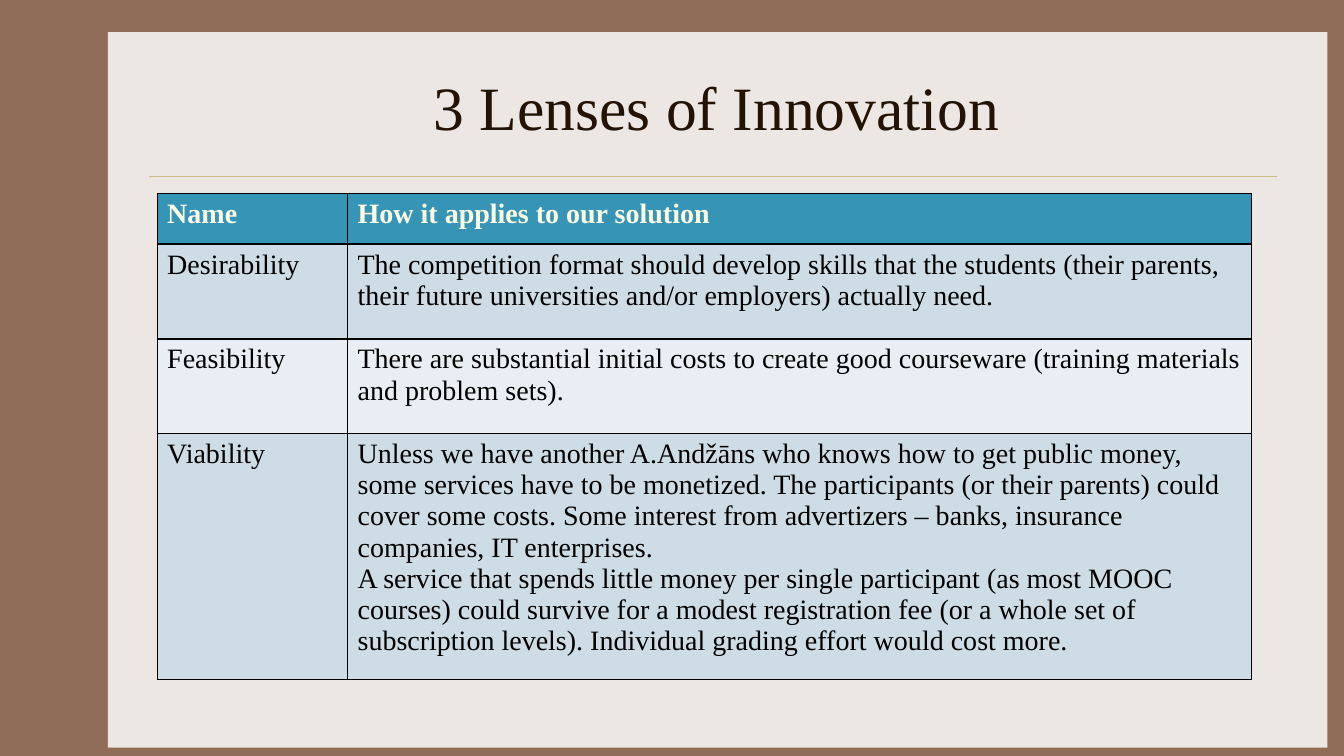
from lxml.etree import SubElement
from pptx import Presentation
from pptx.dml.color import RGBColor
from pptx.enum.shapes import MSO_CONNECTOR, MSO_SHAPE
from pptx.enum.text import MSO_ANCHOR, PP_ALIGN
from pptx.oxml.ns import qn
from pptx.util import Cm, Pt

COLORS = {
    "backdrop": "906D58", "panel": "EDE7E3", "rule": "CBBD83", "title": "221304",
    "header": "3694B6", "header_text": "FEFDE3", "odd": "CEDCE5", "even": "E8EEF3",
    "text": "000000", "border": "000000",
}
FORMATS = {
    "title": {"name": "Times New Roman", "size": Pt(44), "bold": False},
    "header": {"name": "Times New Roman", "size": Pt(20), "bold": True},
    "body": {"name": "Times New Roman", "size": Pt(20), "bold": False},
}
LENSES = [
    ("Name", "How it applies to our solution"),
    ("Desirability", "The competition format should develop skills that the students "
     "(their parents, their future universities and/or employers) actually need."),
    ("Feasibility", "There are substantial initial costs to create good courseware "
     "(training materials and problem sets)."),
    ("Viability", "Unless we have another A.Andžāns who knows how to get public money, "
     "some services have to be monetized. The participants (or their parents) could cover "
     "some costs. Some interest from advertizers – banks, insurance companies, IT enterprises.\n"
     "A service that spends little money per single participant (as most MOOC courses) could "
     "survive for a modest registration fee (or a whole set of subscription levels). "
     "Individual grading effort would cost more."),
]
COLUMN_SHARES = [0.174, 0.826]
ROW_HEIGHTS = [1.27, 2.39, 2.39, 5.74]


def color(name):
    """Return the named palette colour."""
    return RGBColor.from_string(COLORS[name])


def paint(fill, name):
    """Fill with one palette colour."""
    fill.solid()
    fill.fore_color.rgb = color(name)


def write(frame, text, style, ink, align=PP_ALIGN.LEFT):
    """Write text into a frame and format every span."""
    frame.text = text
    for para in frame.paragraphs:
        para.alignment = align
        for span in para.runs:
            for key, value in FORMATS[style].items():
                setattr(span.font, key, value)
            span.font.color.rgb = color(ink)


def border_cell(cell):
    """Draw a thin line on all four sides of a cell."""
    properties = cell._tc.get_or_add_tcPr()
    for side in ("a:lnL", "a:lnR", "a:lnT", "a:lnB"):
        line = SubElement(properties, qn(side), w=str(Pt(1)))
        fill = SubElement(line, qn("a:solidFill"))
        SubElement(fill, qn("a:srgbClr"), val=COLORS["border"])


def add_panel(page, left, top, width, height):
    """Place the light panel with the rule under its heading."""
    panel = page.shapes.add_shape(
        MSO_SHAPE.RECTANGLE, Cm(left), Cm(top), Cm(width), Cm(height))
    panel.shadow.inherit = False
    paint(panel.fill, "panel")
    panel.line.fill.background()
    rule_top = Cm(top + 3.64)
    rule = page.shapes.add_connector(
        MSO_CONNECTOR.STRAIGHT, Cm(left + 1.04), rule_top, Cm(left + width - 1.27), rule_top)
    rule.line.width = Pt(0.25)
    rule.line.color.rgb = color("rule")
    SubElement(rule._element.spPr, qn("a:effectLst"))


def add_title(page, left, top, width, height):
    """Place the centred slide title."""
    box = page.shapes.add_textbox(Cm(left), Cm(top), Cm(width), Cm(height))
    frame = box.text_frame
    for key, value in {"word_wrap": True, "vertical_anchor": MSO_ANCHOR.MIDDLE}.items():
        setattr(frame, key, value)
    write(frame, "3 Lenses of Innovation", "title", "title", PP_ALIGN.CENTER)


def add_lens_table(page, left, top, width):
    """Place the table of lenses with alternating row fills."""
    table = page.shapes.add_table(
        len(LENSES), len(COLUMN_SHARES), Cm(left), Cm(top), Cm(width),
        Cm(sum(ROW_HEIGHTS))).table
    for column, share in zip(table.columns, COLUMN_SHARES):
        column.width = Cm(width * share)
    for index, (row, texts) in enumerate(zip(table.rows, LENSES)):
        row.height = Cm(ROW_HEIGHTS[index])
        if index == 0:
            shade, style, ink = "header", "header", "header_text"
        else:
            shade, style, ink = "odd" if index % 2 else "even", "body", "text"
        for cell, text in zip(row.cells, texts):
            border_cell(cell)
            paint(cell.fill, shade)
            write(cell.text_frame, text, style, ink)


def main():
    """Build the slide and save the deck."""
    deck = Presentation()
    deck.slide_width, deck.slide_height = Cm(33.87), Cm(19.05)
    page = deck.slides.add_slide(deck.slide_layouts[6])
    paint(page.background.fill, "backdrop")
    add_panel(page, 2.72, 0.81, 30.73, 18.03)
    add_title(page, 3.96, 1.07, 28.22, 3.18)
    add_lens_table(page, 3.96, 4.88, 27.58)
    deck.save("out.pptx")


if __name__ == "__main__":
    main()
